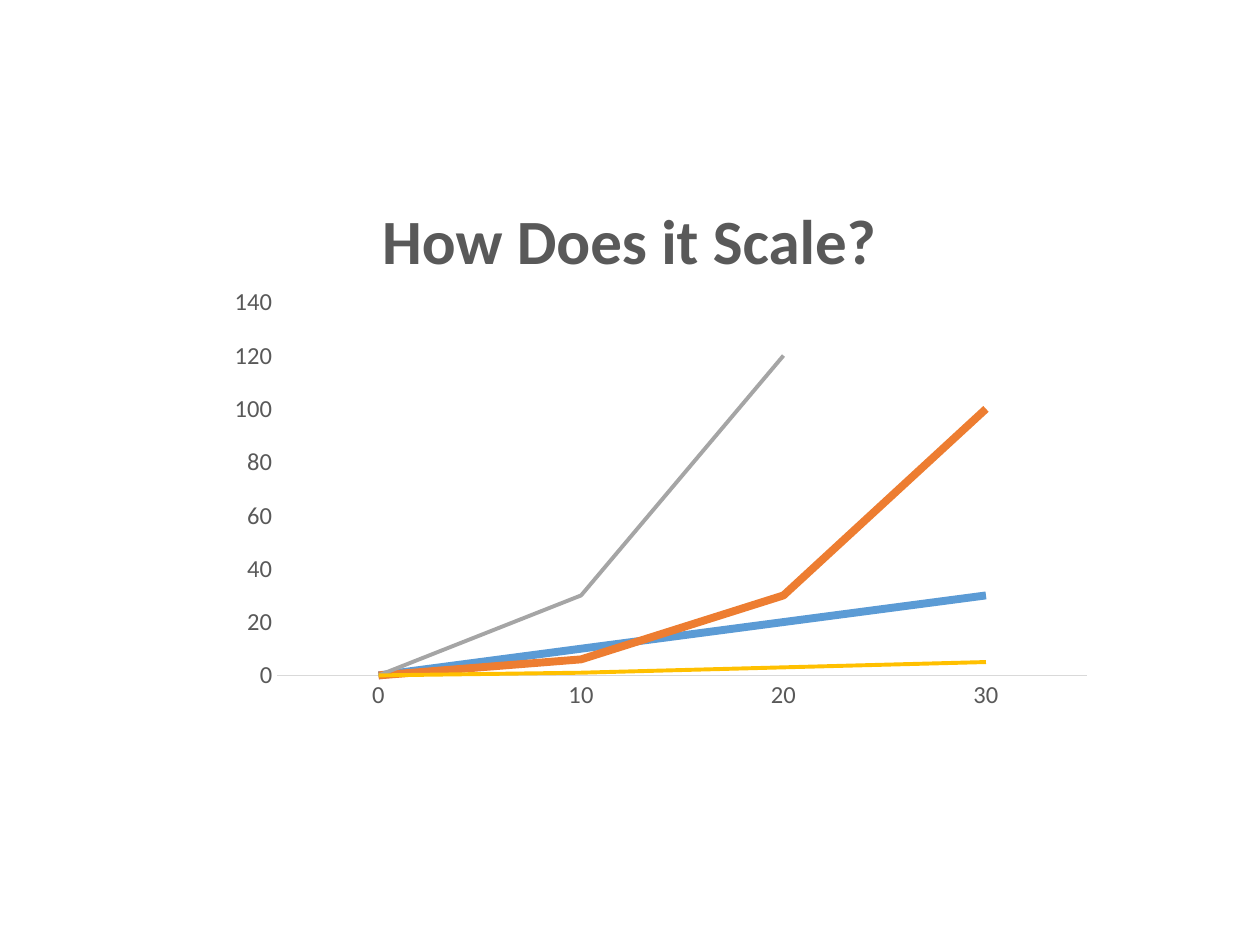
from pptx import Presentation
from pptx.chart.data import CategoryChartData
from pptx.dml.color import RGBColor
from pptx.enum.chart import XL_CHART_TYPE, XL_MARKER_STYLE, XL_TICK_MARK
from pptx.enum.text import MSO_ANCHOR, PP_ALIGN
from pptx.util import Inches, Pt

LINE = XL_CHART_TYPE.LINE
BARE = XL_MARKER_STYLE.NONE
NO_TICK = XL_TICK_MARK.NONE
BOTTOM = MSO_ANCHOR.BOTTOM
CENTER = PP_ALIGN.CENTER

GRAY = "595959"
CATS = ["0", "10", "20", "30"]
ROWS = [
    ("Series 1", (0, 10, 20, 30), "5B9BD5", 4.5),
    ("Series 2", (0, 6, 30, 100), "ED7D31", 4.5),
    ("Series 3", (0, 30, 120, None), "A5A5A5", 2.25),
    ("Series 4", (0, 1, 3, 5), "FFC000", 2.25),
]


def color(code):
    return RGBColor.from_string(code)


def apply(target, values):
    for name, value in values.items():
        setattr(target, name, value)


class Deck:
    """Holds the text style and the current slide."""

    def __init__(self, slide, face, ink):
        self.slide, self.face, self.ink = slide, face, ink

    def font(self, font, size, bold=False):
        apply(font, {"name": self.face, "size": Pt(size), "bold": bold})
        font.color.rgb = color(self.ink)

    def stroke(self, line, code, width):
        line.color.rgb = color(code)
        line.width = Pt(width)

    def title(self, text, box, size):
        shape = self.slide.shapes.add_textbox(*map(Inches, box))
        frame = shape.text_frame
        apply(frame, {"word_wrap": True, "vertical_anchor": BOTTOM})
        para = frame.paragraphs[0]
        apply(para, {"alignment": CENTER, "line_spacing": 0.9,
                     "space_before": Pt(10)})
        run = para.add_run()
        run.text = text
        self.font(run.font, size, True)

    def chart(self, cats, rows, box, size):
        data = CategoryChartData()
        data.categories = cats
        for name, values, _, _ in rows:
            data.add_series(name, values)
        chart = self.slide.shapes.add_chart(
            LINE, *map(Inches, box), data).chart
        apply(chart, {"has_legend": False, "has_title": False})
        chart.plots[0].vary_by_categories = False
        self.font(chart.font, size)
        for axis in (chart.category_axis, chart.value_axis):
            apply(axis, {"has_major_gridlines": False,
                         "major_tick_mark": NO_TICK,
                         "minor_tick_mark": NO_TICK})
            self.font(axis.tick_labels.font, size)
        self.stroke(chart.category_axis.format.line, "D9D9D9", 0.75)
        apply(chart.value_axis, {"minimum_scale": 0, "maximum_scale": 140,
                                 "major_unit": 20})
        chart.value_axis.format.line.fill.background()
        for line, (_, _, code, width) in zip(chart.plots[0].series, rows):
            line.smooth = False
            line.marker.style = BARE
            self.stroke(line.format.line, code, width)


def main():
    prs = Presentation()
    apply(prs, {"slide_width": Inches(10), "slide_height": Inches(7.5)})
    slide = prs.slides.add_slide(prs.slide_layouts[6])
    deck = Deck(slide, "Calibri", GRAY)
    deck.title("How Does it Scale?", (2.88, 1.58, 4.23, 0.68), 36)
    deck.chart(CATS, ROWS, (1.72, 2.21, 7.05, 3.5), 14)
    prs.save("out.pptx")


if __name__ == "__main__":
    main()
